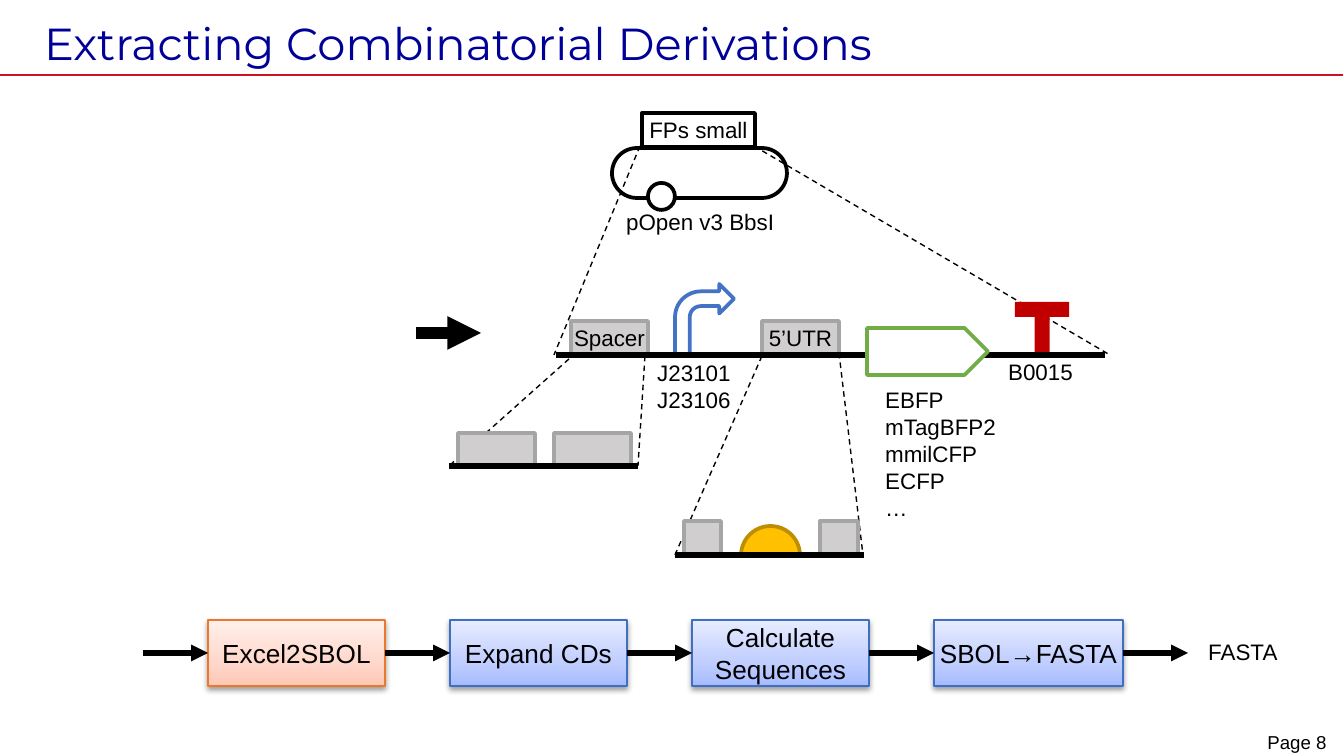
from copy import deepcopy

from lxml import etree
from pptx import Presentation
from pptx import util as u
from pptx.dml.color import RGBColor
from pptx.enum import dml, shapes, text
from pptx.oxml.ns import qn

SCALE = 914400 / 134.4
BLACK, WHITE = "000000", "FFFFFF"
KIND = shapes.MSO_SHAPE

TITLE = "Extracting Combinatorial Derivations"
ORANGE = ("EC792B", ["FFC7B6", "FFD7CB", "FFF0EB"])
BLUE = ("3F6FC3", ["A6BBFF", "C0CEFF", "E7ECFF"])
STOPS = [0, 0.35, 1]
STEPS = [
    ("Excel2SBOL", 177, ORANGE),
    ("Expand CDs", 177, BLUE),
    ("Calculate Sequences", 177, BLUE),
    ("SBOL→FASTA", 189, BLUE),
]
STEP_LEFT, STEP_TOP, STEP_HEIGHT, STEP_PITCH = 208, 620, 66, 242
ARROW_LENGTH = STEP_PITCH - STEPS[0][1]

LABELS = [
    (613, 202, 176, 40, ["pOpen v3 BbsI"]),
    (644, 353, 101, 67, ["J23101", "J23106"]),
    (995, 352, 93, 40, ["B0015"]),
    (872, 380, 145, 149, ["EBFP", "mTagBFP2", "mmilCFP", "ECFP", "…"]),
    (1195, 632, 97, 40, ["FASTA"]),
]
ZOOM_LINES = [
    (754, 146, 1110, 355), (640, 146, 554, 355),
    (645, 356, 638, 466), (569, 359, 449, 466),
    (839, 353, 863, 555), (762, 356, 675, 555),
]
BASELINES = [(556, 1105, 355), (449, 638, 466), (675, 864, 555)]
PARTS = [
    (571, 321, 77, "Spacer"), (762, 321, 77, "5’UTR"),
    (458, 433, 77, ""), (554, 433, 77, ""),
    (684, 521, 37, ""), (820, 521, 38, ""),
]
PART_HEIGHT = 34


def px(value):
    return u.Emu(round(value * SCALE))


def color(value):
    return RGBColor.from_string(value)


def write(frame, lines, size, align, inset=None):
    if inset is not None:
        frame.margin_left = frame.margin_right = inset
        frame.margin_top = frame.margin_bottom = inset
    for index, line in enumerate(lines):
        para = frame.add_paragraph() if index else frame.paragraphs[0]
        para.text = line
        para.alignment = align
        para.font.size = u.Pt(size)
        para.font.name = "Arial"
        para.font.color.rgb = color(BLACK)


def add_shape(kind, left, top, width, height, fill=None, line=None, words="", size=12, weight=2):
    shape = slide.shapes.add_shape(kind, px(left), px(top), px(width), px(height))
    shape.shadow.inherit = False
    if fill:
        shape.fill.solid()
        shape.fill.fore_color.rgb = color(fill)
    if line:
        shape.line.color.rgb = color(line)
        shape.line.width = u.Pt(weight)
    else:
        shape.line.fill.background()
    if words:
        shape.text_frame.vertical_anchor = text.MSO_ANCHOR.MIDDLE
        write(shape.text_frame, [words], size, text.PP_ALIGN.CENTER, 0)
    return shape


def add_line(x1, y1, x2, y2, weight=3, hue=BLACK, dashed=False, arrow=False):
    line = slide.shapes.add_connector(shapes.MSO_CONNECTOR.STRAIGHT, px(x1), px(y1), px(x2), px(y2))
    line.line.color.rgb = color(hue)
    line.line.width = u.Pt(weight)
    if dashed:
        line.line.dash_style = dml.MSO_LINE.DASH
    properties = line._element.spPr
    if arrow:
        etree.SubElement(properties.find(qn("a:ln")), qn("a:tailEnd"), type="triangle")
    etree.SubElement(properties, qn("a:effectLst"))
    return line


def add_text(left, top, width, height, lines, size=12, align=text.PP_ALIGN.LEFT, inset=None):
    box = slide.shapes.add_textbox(px(left), px(top), px(width), px(height))
    box.text_frame.word_wrap = False
    write(box.text_frame, lines, size, align, inset)


def add_step(left, width, words, theme):
    line, hues = theme
    box = add_shape(KIND.RECTANGLE, left, STEP_TOP, width, STEP_HEIGHT, None, line, words, 14, 0.75)
    box.fill.gradient()
    box.fill.gradient_angle = 90
    properties = box._element.spPr
    stop_list = properties.find(".//" + qn("a:gsLst"))
    stop_list.append(deepcopy(stop_list[0]))
    for stop, position, hue in zip(box.fill.gradient_stops, STOPS, hues):
        stop.position = position
        stop.color.rgb = color(hue)
    shadow = etree.SubElement(
        properties.find(qn("a:effectLst")), qn("a:outerShdw"),
        blurRad=str(u.Pt(3.1)), dist=str(u.Pt(1.6)), dir="5400000", rotWithShape="0")
    shade = etree.SubElement(shadow, qn("a:srgbClr"), val=BLACK)
    etree.SubElement(shade, qn("a:alpha"), val="38000")
    return box


deck = Presentation()
deck.slide_width, deck.slide_height = px(1344), px(756)
slide = deck.slides.add_slide(deck.slide_layouts[5])

add_line(0, 75, 1343, 75, 1, "CE1126")
add_text(1250, 731, 94, 19, ["Page 8"], 10, text.PP_ALIGN.CENTER, 0)

title = slide.shapes.title
title.left, title.top, title.width, title.height = px(44), px(11), px(1032), px(65)
frame = title.text_frame
frame.text = TITLE
frame.margin_left = 0
frame.vertical_anchor = text.MSO_ANCHOR.BOTTOM
frame.auto_size = text.MSO_AUTO_SIZE.NONE
heading = frame.paragraphs[0]
heading.alignment = text.PP_ALIGN.LEFT
heading.line_spacing = 0.85
heading.font.size = u.Pt(24)
heading.font.name = "Montserrat"
heading.font.color.rgb = color("000099")

plasmid = add_shape(KIND.ROUNDED_RECTANGLE, 612, 148, 175, 50, WHITE, BLACK)
plasmid.adjustments[0] = 0.5
binding_site = add_shape(KIND.PIE, 741, 526, 59, 59, "FFC000", "BD8E00")
binding_site.adjustments[0] = 107.89
binding_site.adjustments[1] = 215.79
for ends in ZOOM_LINES:
    add_line(*ends, weight=0.75, dashed=True)
add_shape(KIND.BENT_ARROW, 675, 284, 59, 70, WHITE, "4472C4")
for left, top, width, words in PARTS:
    add_shape(KIND.RECTANGLE, left, top, width, PART_HEIGHT, "D0CECE", "A5A5A5", words)
for start, end, y in BASELINES:
    add_line(start, y, end, y)
add_shape(KIND.PENTAGON, 867, 328, 121, 47, WHITE, "70AD47")
terminator = add_shape(KIND.LEFT_RIGHT_UP_ARROW, 1015, 302, 54, 50, "C00000")
terminator.rotation = 180
for index, value in enumerate([0.5, 0.15, 0]):
    terminator.adjustments[index] = value
add_shape(KIND.OVAL, 648, 183, 27, 27, WHITE, BLACK)
add_shape(KIND.RECTANGLE, 642, 113, 113, PART_HEIGHT, WHITE, BLACK, "FPs small")
add_line(416, 333, 481, 333, 6, arrow=True)

middle = STEP_TOP + STEP_HEIGHT // 2
previous = None
for index, (words, width, theme) in enumerate(STEPS):
    left = STEP_LEFT + index * STEP_PITCH
    step = add_step(left, width, words, theme)
    arrow = add_line(left - ARROW_LENGTH, middle, left, middle, arrow=True)
    if previous:
        arrow.begin_connect(previous, 3)
    arrow.end_connect(step, 1)
    previous = step
right = left + width
add_line(right, middle, right + ARROW_LENGTH, middle, arrow=True).begin_connect(previous, 3)

for label in LABELS:
    add_text(*label)

deck.save("out.pptx")
